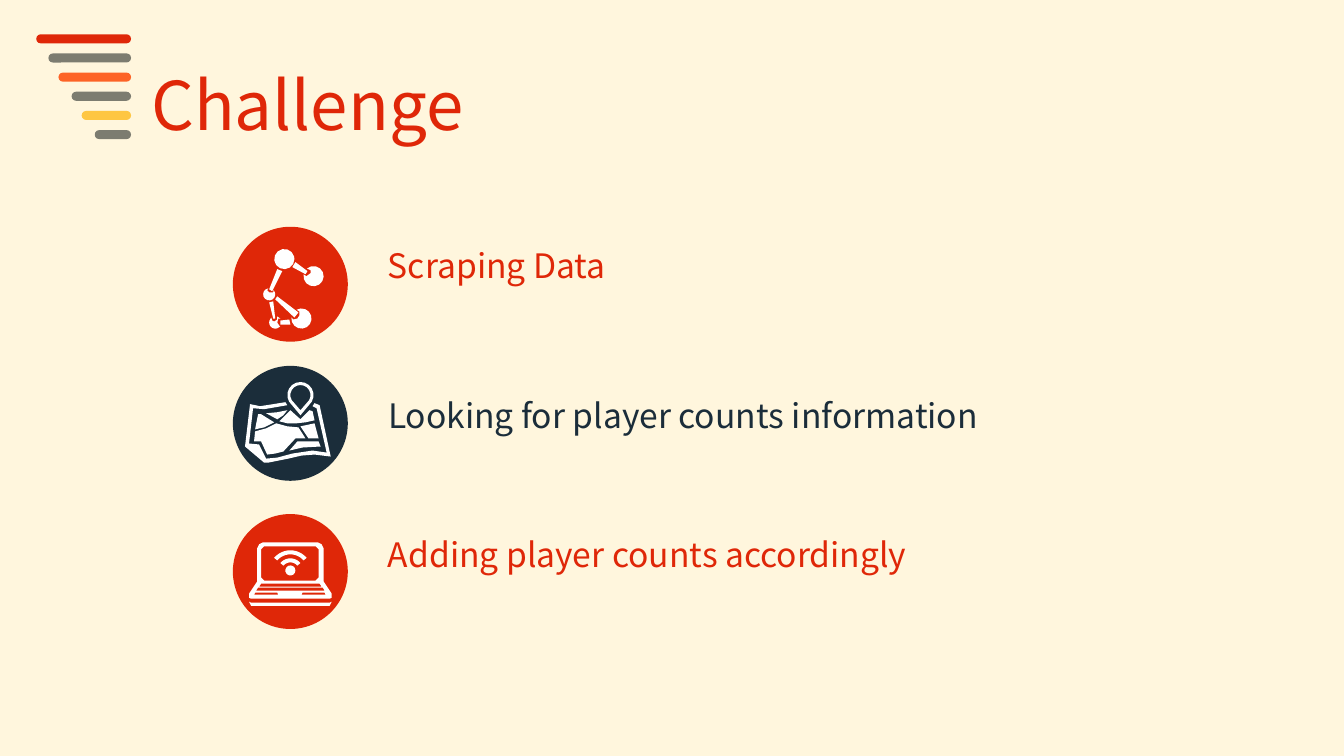
import math
import pptx
import pptx.util
import pptx.dml.color
import pptx.enum.shapes
import pptx.enum.text

Inches = pptx.util.Inches
Pt = pptx.util.Pt
RGBColor = pptx.dml.color.RGBColor
KIND = pptx.enum.shapes.MSO_SHAPE

CREAM = RGBColor(0xFF, 0xF6, 0xDD)
RED = RGBColor(0xDF, 0x27, 0x08)
NAVY = RGBColor(0x1B, 0x2D, 0x3A)
GREY = RGBColor(0x7C, 0x7C, 0x70)
ORANGE = RGBColor(0xFD, 0x63, 0x26)
YELLOW = RGBColor(0xFE, 0xC6, 0x42)
WHITE = RGBColor(0xFF, 0xFF, 0xFF)
FONT = "Noto Sans CJK SC"

deck = pptx.Presentation()
deck.slide_width = Inches(13.33)
deck.slide_height = Inches(7.5)
slide = deck.slides.add_slide(deck.slide_layouts[5])
slide.background.fill.solid()
slide.background.fill.fore_color.rgb = CREAM


def write(text, box, size, color, shape=None):
    shape = shape or slide.shapes.add_textbox(0, 0, 0, 0)
    shape.left, shape.top, shape.width, shape.height = map(Inches, box)
    frame = shape.text_frame
    frame.word_wrap = False
    frame.auto_size = pptx.enum.text.MSO_AUTO_SIZE.SHAPE_TO_FIT_TEXT
    frame.vertical_anchor = pptx.enum.text.MSO_ANCHOR.TOP
    frame.text = text
    line = frame.paragraphs[0]
    line.alignment = pptx.enum.text.PP_ALIGN.LEFT
    font = line.runs[0].font
    font.name, font.size, font.color.rgb = FONT, Pt(size), color


def arc(x, y, r, start, stop, steps=12):
    turns = [math.radians(start + (stop - start) * i / steps)
             for i in range(steps + 1)]
    return [(x + r * math.cos(a), y + r * math.sin(a)) for a in turns]


write("Challenge", box=(1.4, 0.58, 3.41, 0.91), size=48, color=RED,
      shape=slide.shapes.title)

items = [("Scraping Data", 2.38, 2.46, 2.25, RED),
         ("Looking for player counts information", 3.87, 6.32, 3.63, NAVY),
         ("Adding player counts accordingly", 5.25, 5.6, 5.1, RED)]
for text, top, width, disc, color in items:
    write(text, box=(3.75, top, width, 0.5), size=24, color=color)

bars = [(0.94, RED), (0.82, GREY), (0.72, ORANGE),
        (0.59, GREY), (0.49, YELLOW), (0.36, GREY)]
parts = [(KIND.ROUNDED_RECTANGLE, (1.3 - width, 0.34 + 0.19 * i, width, 0.09),
          color) for i, (width, color) in enumerate(bars)]
parts += [(KIND.OVAL, (2.31, disc, 1.14, 1.14), color)
          for text, top, width, disc, color in items]
for kind, box, color in parts:
    shape = slide.shapes.add_shape(kind, *map(Inches, box))
    if kind == KIND.ROUNDED_RECTANGLE:
        shape.adjustments[0] = 0.5
    shape.shadow.inherit = False
    shape.fill.solid()
    shape.fill.fore_color.rgb = color
    shape.line.fill.background()

graph = [
    arc(2.82, 2.57, 0.1, 0, 345),
    arc(3.11, 2.74, 0.1, 190, -131)
    + [(3.08, 2.68), (3.08, 2.71), (3.04, 2.74)],
    arc(2.67, 2.92, 0.06, -45, 262)
    + [(2.65, 2.88), (2.67, 2.9), (2.71, 2.9)],
    arc(2.99, 3.16, 0.1, 186, -119)
    + [(2.97, 3.09), (2.97, 3.13), (2.95, 3.16), (2.91, 3.17)],
    arc(2.73, 3.2, 0.06, 207, 38)
    + [(2.77, 3.23), (2.75, 3.2), (2.76, 3.16), (2.78, 3.16), (2.75, 3.14),
       (2.75, 3.17), (2.72, 3.19), (2.7, 3.18), (2.69, 3.15)],
    [(2.8, 2.69), (2.7, 2.89), (2.67, 2.87), (2.75, 2.67)],
    [(2.93, 2.6), (3.05, 2.69), (3.03, 2.72), (2.9, 2.65)],
    [(2.75, 2.94), (2.96, 3.1), (2.92, 3.15), (2.73, 2.97)],
    [(2.67, 3), (2.71, 2.99), (2.73, 3.16), (2.71, 3.16)],
    [(2.88, 3.22), (2.78, 3.22), (2.78, 3.18), (2.87, 3.17)]]

chart = [
    [(2.43, 4.43), (2.62, 4.59), (2.66, 4.59), (2.86, 4.55), (2.99, 4.52),
     (3.12, 4.51), (3.28, 4.53), (3.17, 4.02), (3.12, 4), (3.1, 4.03),
     (3.14, 4.05), (3.24, 4.49), (3.1, 4.47), (2.9, 4.5), (2.75, 4.54),
     (2.64, 4.55), (2.57, 4.41), (2.47, 4.4), (2.51, 4.05), (2.62, 4.06),
     (2.85, 4.02), (2.83, 3.99), (2.71, 4.01), (2.58, 4.03), (2.48, 4.01)],
    [(2.56, 4.11), (2.53, 4.26), (2.62, 4.24), (2.72, 4.19), (2.59, 4.11)],
    [(2.98, 4.23), (3.06, 4.35), (3.16, 4.35), (3.12, 4.2)],
    [(3.16, 4.38), (2.95, 4.38), (2.87, 4.47), (3, 4.44), (3.18, 4.43)],
    [(2.81, 4.48), (2.93, 4.35), (3.03, 4.35), (2.96, 4.24), (2.85, 4.23),
     (2.74, 4.2), (2.64, 4.25), (2.53, 4.28), (2.52, 4.38), (2.59, 4.38),
     (2.65, 4.51), (2.73, 4.5)],
    [(2.64, 4.1), (2.75, 4.16), (2.81, 4.12), (2.85, 4.07), (2.75, 4.09)],
    [(2.88, 4.07), (2.77, 4.18), (2.85, 4.2), (2.94, 4.2), (3.03, 4.19),
     (3.12, 4.17), (3.1, 4.08), (3.07, 4.07), (2.98, 4.16)],
    arc(2.98, 3.92, 0.13, 150, 390) + [(2.98, 4.12)],
    arc(2.98, 3.92, 0.1, 390, 150) + [(2.98, 4.07)]]

laptop = [
    [(2.61, 5.38), (3.15, 5.38), (3.19, 5.4), (3.21, 5.44), (3.21, 5.77),
     (3.29, 5.89), (3.29, 5.93), (3.27, 5.94), (2.49, 5.94), (2.47, 5.93),
     (2.47, 5.89), (2.55, 5.77), (2.55, 5.44), (2.57, 5.4)],
    [(2.59, 5.45), (2.59, 5.73), (2.62, 5.76), (3.13, 5.76), (3.16, 5.73),
     (3.16, 5.45), (3.13, 5.42), (2.62, 5.42)],
    [(2.47, 5.97), (2.49, 5.98), (3.27, 5.98), (3.29, 5.97), (3.27, 6.01),
     (2.49, 6.01)],
    arc(2.88, 5.66, 0.05, 0, 330)]
keys = [(2.59, 3.17, 5.79, 0.03, 0.02), (2.56, 3.2, 5.83, 0.03, 0.02),
        (2.53, 2.75, 5.88, 0.02, 0.01), (3, 3.22, 5.88, 0.02, 0.01)]
for left, right, top, high, lean in keys:
    laptop.append([(left, top), (right, top), (right + lean, top + high),
                   (left - lean, top + high)])
for far, near in [(0.21, 0.17), (0.13, 0.09)]:
    laptop.append(arc(2.88, 5.67, far, 220, 320)
                  + arc(2.88, 5.67, near, 320, 220))

for rings in (graph, chart, laptop):
    pen = None
    for ring in rings:
        spots = [(Inches(x), Inches(y)) for x, y in ring]
        if pen is None:
            pen = slide.shapes.build_freeform(*spots[0])
        else:
            pen.move_to(*spots[0])
        pen.add_line_segments(spots[1:], close=True)
    icon = pen.convert_to_shape()
    icon.shadow.inherit = False
    icon.fill.solid()
    icon.fill.fore_color.rgb = WHITE
    icon.line.fill.background()

deck.save("out.pptx")
